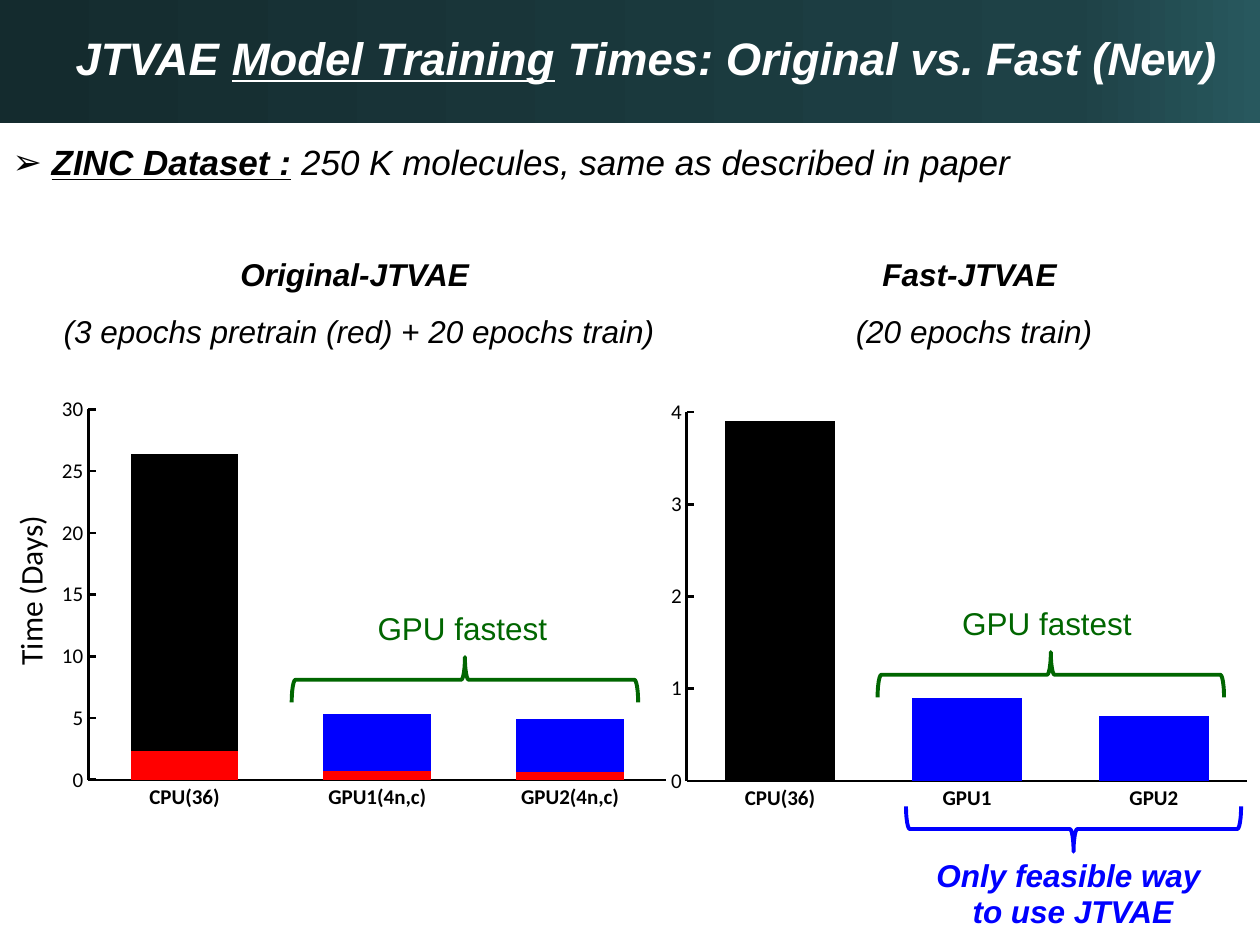
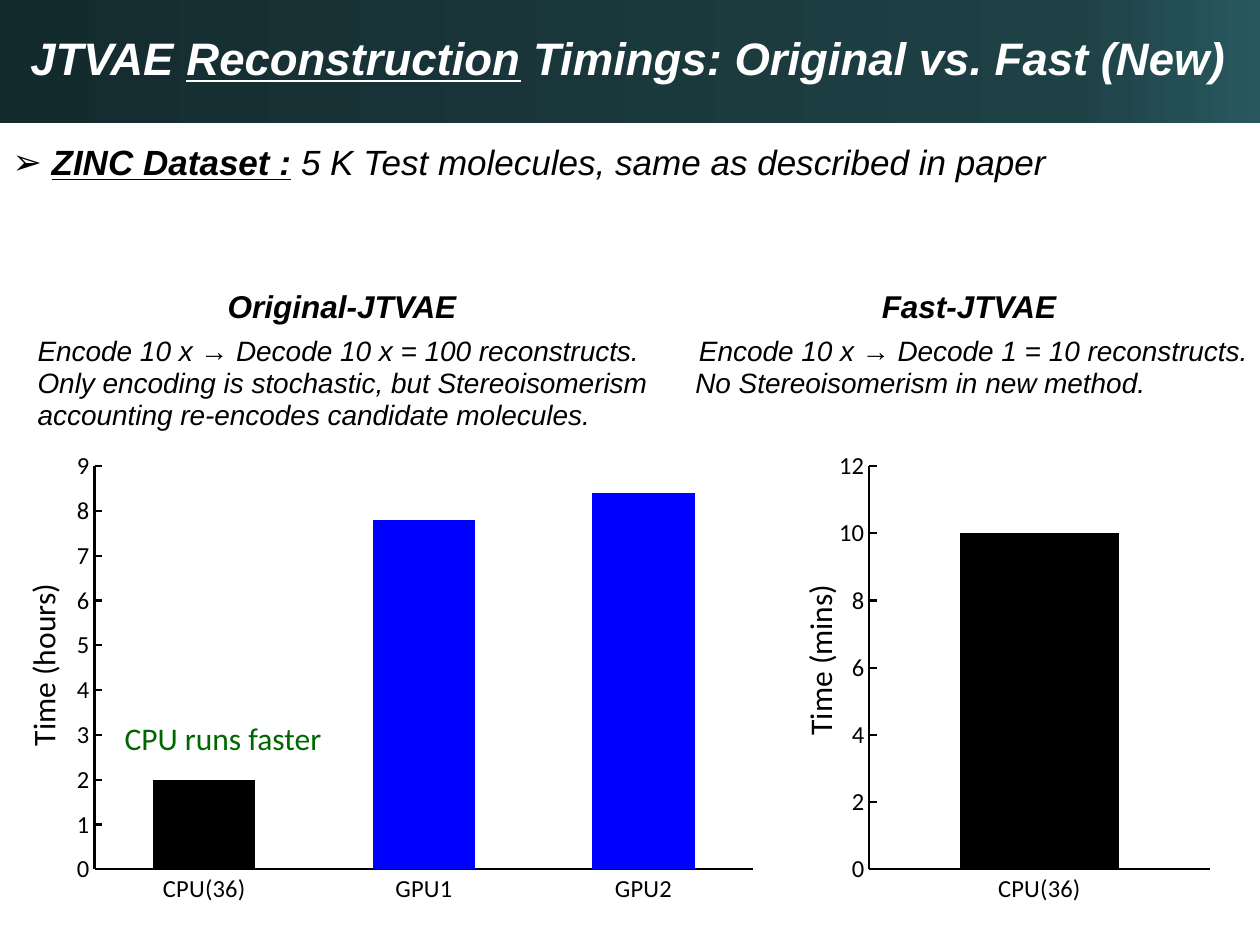
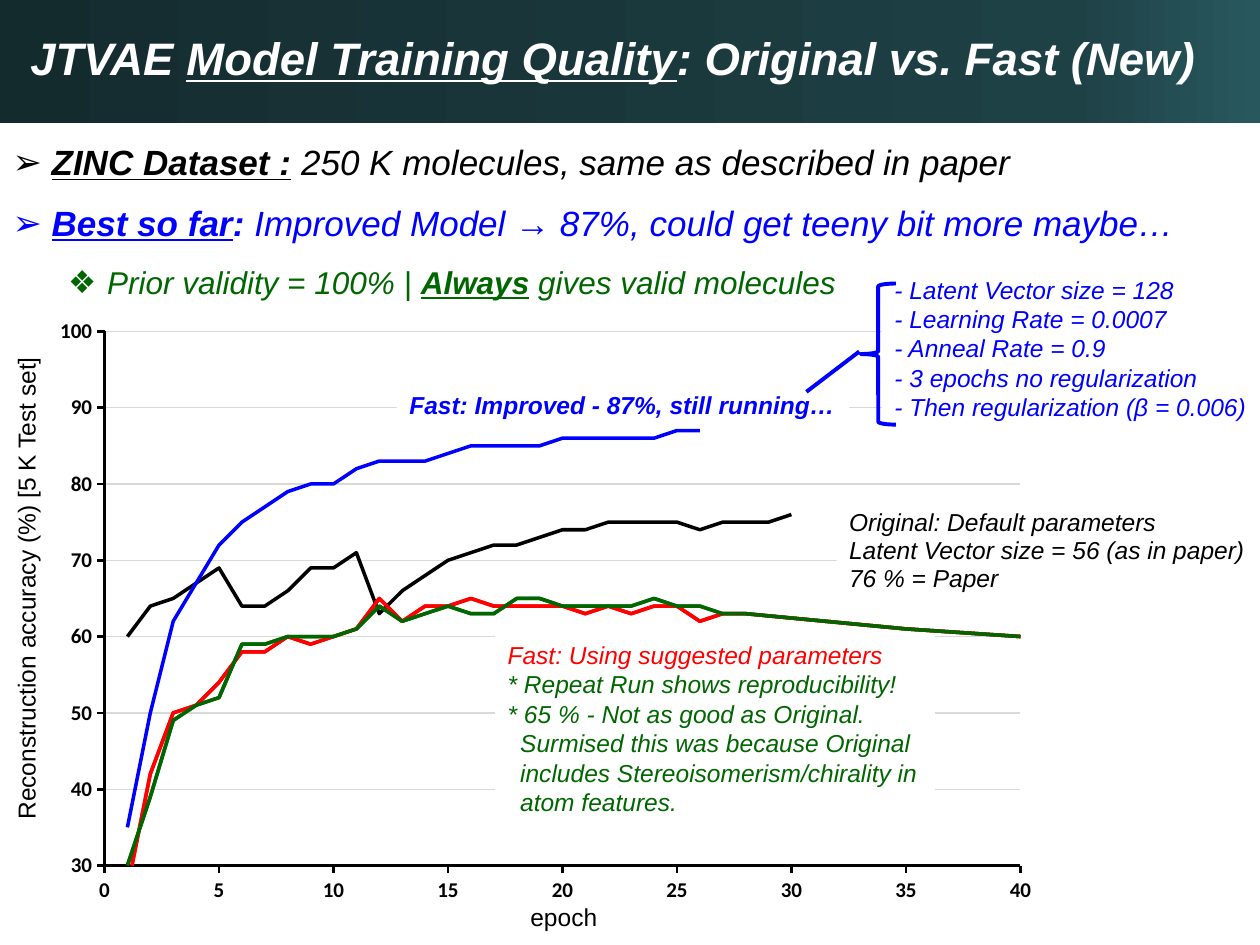
from copy import deepcopy
from dataclasses import dataclass
from lxml import etree
from pptx import Presentation
from pptx import util as u
from pptx.chart import data as cd
from pptx.dml.color import RGBColor
from pptx.enum import chart as ce, shapes, text
from pptx.oxml.ns import qn


@dataclass(frozen=True)
class Theme:
    black: str = "000000"
    white: str = "FFFFFF"
    blue: str = "0000FF"
    red: str = "FF0000"
    green: str = "006600"
    grid: str = "D9D9D9"
    band: tuple = ((0, "142B2E"), (0.85, "1E4146"), (1, "28585E"))
    font: str = "Arial"
    chart_font: str = "Calibri"
    title: int = 26
    body: int = 20
    label: int = 18
    detail: int = 16
    note: int = 14
    tick: int = 12
    mark: float = 2.25


T = Theme()
LEFT, CENTER = text.PP_ALIGN.LEFT, text.PP_ALIGN.CENTER
BODY = (0, 1.09, 10, 0.7)


def para(*runs, **fmt):
    base = dict(size=T.label, color=T.black, font=T.font, align=LEFT,
                spacing=0.95, before=0, indent=None, bullet=None, level=0)
    return {**base, **fmt, "runs": runs}


def lines(rows, **fmt):
    return [para((row, "i"), **fmt) for row in rows]


def dataset(detail):
    return para(("ZINC Dataset :", "biu"), (" ", "bi"), (detail, "i"),
                size=T.body, before=24, indent=(0.31, -0.31), bullet="➢")


def heading(name):
    return para((name + " ", "bi"), align=CENTER, before=24)


def caption(label, color=T.black, **fmt):
    return para((label, ""), **{**dict(color=color, align=CENTER, before=24), **fmt})


def axis_label(label):
    return [para((label, ""), font=T.chart_font, spacing=1)]


def title(start, underlined, end):
    return para((start, "bi"), (underlined, "biu"), (end, "bi"),
                size=T.title, color=T.white, spacing=0.9)


ZINC_TRAIN = "250 K molecules, same as described in paper"
CPU, GPU_A, GPU_B = "CPU(36)", "GPU1", "GPU2"
EPOCHS = [*range(1, 29), 35, 40]
RUN_A = (T.green, [30, 39, 49, 51, 52, 59, 59, 60, 60, 60, 61, 64, 62, 63, 64, 63, 63, 65,
                   65, 64, 64, 64, 64, 65, 64, 64, 63, 63, 61, 60], EPOCHS)
RUN_B = (T.red, [27, 42, 50, 51, 54, 58, 58, 60, 59, 60, 61, 65, 62, 64, 64, 65, 64, 64,
                 64, 64, 63, 64, 63, 64, 64, 62, 63, 63, 61, 60], EPOCHS)
IMPROVED = (T.blue, [35, 50, 62, 67, 72, 75, 77, 79, 80, 80, 82, 83, 83, 83, 84, 85, 85, 85,
                     85, 86, 86, 86, 86, 86, 87, 87], range(1, 27))
ORIGINAL = (T.black, [60, 64, 65, 67, 69, 64, 64, 66, 69, 69, 71, 63, 66, 68, 70, 71, 72, 72,
                      73, 74, 74, 75, 75, 75, 75, 74, 75, 75, 75, 76], range(1, 31))

SLIDES = [
    dict(
        title=((0.5, 0.14, 9.42, 0.59),
               title("JTVAE ", "Model Training", " Times: Original vs. Fast (New)")),
        body=[dataset(ZINC_TRAIN)],
        charts=[
            dict(at=(0.39, 3.09, 5, 3.41), plot=(0.7, 3.25, 5.29, 6.19), stacked=True,
                 cats=[CPU, GPU_A + "(4n,c)", GPU_B + "(4n,c)"], gap=79, overlap=100,
                 bold_cats=True, lines=(1.25, 1.5),
                 series=[([2.3, 0.7, 0.6], [T.red] * 3),
                         ([24.1, 4.6, 4.3], [T.black, T.blue, T.blue])]),
            dict(at=(5.24, 3.11, 4.76, 3.41), plot=(5.45, 3.27, 9.9, 6.2),
                 cats=[CPU, GPU_A, GPU_B], gap=70, overlap=-6,
                 bold_cats=True, lines=(1.5, 1.5),
                 scale=dict(maximum_scale=4, major_unit=1),
                 series=[([3.9, 0.9, 0.7], [T.black, T.blue, T.blue])]),
        ],
        texts=[
            dict(at=(-0.46, 4.48, 1.4, 0.4), turn=270, paras=axis_label("Time (Days)")),
            dict(at=(0.38, 2, 4.94, 0.84), paras=[heading("Original-JTVAE"), para(
                ("(3 epochs pretrain (red) + 20 epochs train)", "i"), align=CENTER, before=12)]),
            dict(at=(6.68, 2, 2.1, 0.84), paras=[heading("Fast-JTVAE"), para(
                ("(20 epochs train)", "i"), align=CENTER, before=12)]),
            dict(at=(2.89, 4.81, 1.56, 0.39), paras=[caption("GPU fastest", T.green)]),
            dict(at=(7.53, 4.77, 1.56, 0.39), paras=[caption("GPU fastest", T.green)]),
            dict(at=(7.32, 6.77, 2.39, 0.68), paras=[
                para(("Only feasible way ", "bi"), color=T.blue, align=CENTER, before=24),
                para(("to use JTVAE", "bi"), color=T.blue, align=CENTER)]),
        ],
        braces=[("RIGHT_BRACE", (3.51, 4.02, 0.36, 2.75), 270, T.green),
                ("RIGHT_BRACE", (8.16, 3.98, 0.36, 2.75), 270, T.green),
                ("RIGHT_BRACE", (8.34, 5.25, 0.36, 2.66), 90, T.blue)],
    ),
    dict(
        title=((0.14, 0.14, 9.78, 0.59),
               title("JTVAE ", "Reconstruction", " Timings: Original vs. Fast (New)")),
        body=[dataset("5 K Test molecules, same as described in paper")],
        charts=[
            dict(at=(0.5, 3.5, 5.6, 3.75), plot=(0.75, 3.7, 5.98, 6.9),
                 cats=[CPU, GPU_A, GPU_B], gap=115, overlap=-27, tick=T.note,
                 lines=(1.25, 1.25), series=[([2, 7.8, 8.4], [T.black, T.blue, T.blue])]),
            dict(at=(6.6, 3.5, 3.06, 3.75), plot=(6.9, 3.7, 9.6, 6.9),
                 cats=[CPU], gap=115, overlap=-27, tick=T.note,
                 lines=(1.25, 1.25), series=[([10], [T.black])]),
        ],
        texts=[
            dict(at=(-0.41, 5.07, 1.5, 0.4), turn=270, paras=axis_label("Time (hours)")),
            dict(at=(5.8, 5.03, 1.41, 0.4), turn=270, paras=axis_label("Time (mins)")),
            dict(at=(0.89, 5.66, 1.82, 0.4), paras=[caption(
                "CPU runs faster", T.green, font=T.chart_font, align=LEFT, before=0, spacing=1)]),
            dict(at=(0.2, 2.25, 5.1, 1.24), paras=[
                heading("Original-JTVAE"),
                para(("Encode 10 x → Decode 10 x = 100 reconstructs.", "i"),
                     size=T.detail, before=6),
                *lines(["Only encoding is stochastic, but Stereoisomerism",
                        "accounting re-encodes candidate molecules."], size=T.detail)]),
            dict(at=(5.42, 2.25, 4.61, 0.98), paras=[
                heading("Fast-JTVAE"),
                para(("Encode 10 x → Decode 1 = 10 reconstructs.", "i"),
                     size=T.detail, before=6, align=CENTER),
                *lines(["No Stereoisomerism in new method."], size=T.detail)]),
        ],
    ),
    dict(
        title=((0.14, 0.14, 9.78, 0.59),
               title("JTVAE ", "Model Training Quality", ": Original vs. Fast (New)")),
        body=[
            dataset(ZINC_TRAIN),
            para(("Best so far", "biu"), (": ", "bi"),
                 ("Improved Model → 87%, could get teeny bit more maybe…", "i"),
                 size=T.body, color=T.blue, before=12, indent=(0.31, -0.31), bullet="➢"),
            para(("Prior validity = 100% | ", "i"), ("Always", "biu"),
                 (" gives valid molecules", "i"), color=T.green, before=12,
                 indent=(0.75, -0.31), bullet="❖", level=1),
        ],
        charts=[
            dict(at=(0.32, 2.44, 8.04, 4.83), plot=(0.83, 2.63, 8.1, 6.87),
                 lines=(1.5, 1.5), bold_cats=True, bold_vals=True,
                 tick_mark=ce.XL_TICK_MARK.OUTSIDE, grid=True,
                 x_scale=dict(minimum_scale=0, maximum_scale=40, major_unit=5),
                 scale=dict(minimum_scale=30, maximum_scale=100, major_unit=10),
                 curves=[RUN_A, RUN_B, IMPROVED, RUN_A, RUN_B, ORIGINAL]),
        ],
        texts=[
            dict(at=(4.11, 7.13, 0.73, 0.32), paras=[caption("epoch", size=T.note)]),
            dict(at=(-2.02, 4.51, 4.47, 0.32), turn=270, wrap=True, paras=[
                caption("Reconstruction accuracy (%) [5 K Test set]", size=T.note)]),
            dict(at=(6.64, 3.99, 3.36, 0.77), fill=T.white, paras=lines(
                ["Original: Default parameters", "Latent Vector size = 56 (as in paper)",
                 "76 % = Paper"], size=T.note)),
            dict(at=(3.93, 5.03, 3.49, 1.51), fill=T.white, paras=[
                *lines(["Fast: Using suggested parameters"],
                       size=T.note, color=T.red, spacing=1),
                *lines(["* Repeat Run shows reproducibility!",
                        "* 65 % - Not as good as Original."],
                       size=T.note, color=T.green, spacing=1),
                *lines(["Surmised this was because Original",
                        "includes Stereoisomerism/chirality in", "atom features."],
                       size=T.note, color=T.green, spacing=1, indent=(0.1, 0))]),
            dict(at=(3.15, 3.06, 3.59, 0.32), fill=T.white, paras=[
                para(("Fast: Improved - 87%, still running…", "bi"),
                     size=T.note, color=T.blue, before=24)]),
            dict(at=(7, 2.13, 3, 1.28), fill=T.white, paras=lines(
                ["- Latent Vector size = 128", "- Learning Rate = 0.0007",
                 "- Anneal Rate = 0.9", "- 3 epochs no regularization",
                 "- Then regularization (β = 0.006)"],
                size=T.note, color=T.blue, spacing=1)),
        ],
        braces=[("LEFT_BRACE", (6.83, 2.25, 0.28, 1.12), 0, T.blue)],
        pointers=[((6.82, 2.79), (6.4, 3.11), T.blue)],
    ),
]


def rgb(value):
    return RGBColor.from_string(value)


def inches(values):
    return [u.Inches(v) for v in values]


def assign(obj, values):
    for name, value in values.items():
        setattr(obj, name, value)


def set_font(font, size, color, name, flags=""):
    assign(font, dict(size=u.Pt(size), name=name, bold="b" in flags,
                      italic="i" in flags, underline="u" in flags))
    font.color.rgb = rgb(color)


def set_line(line, color, width):
    line.color.rgb = rgb(color)
    line.width = u.Pt(width)


def write(tf, paras):
    for i, item in enumerate(paras):
        p = tf.add_paragraph() if i else tf.paragraphs[0]
        assign(p, dict(alignment=item["align"], line_spacing=item["spacing"],
                       space_before=u.Pt(item["before"]), level=item["level"]))
        pPr = p._p.get_or_add_pPr()
        if item["indent"]:
            for name, value in zip(("marL", "indent"), item["indent"]):
                pPr.set(name, str(u.Inches(value)))
        if item["bullet"]:
            etree.SubElement(pPr, qn("a:buFont")).set("typeface", T.font)
            etree.SubElement(pPr, qn("a:buChar")).set("char", item["bullet"])
        for words, flags in item["runs"]:
            r = p.add_run()
            r.text = words
            set_font(r.font, item["size"], item["color"], item["font"], flags)


def add_band(s):
    sp = s.shapes.add_shape(shapes.MSO_SHAPE.RECTANGLE, *inches((0, 0, 10, 0.98)))
    sp.shadow.inherit = False
    sp.line.fill.background()
    sp.fill.gradient()
    sp.fill.gradient_angle = 0
    stops = sp._element.spPr.find(".//" + qn("a:gsLst"))
    stops.append(deepcopy(stops[-1]))
    for stop, (position, color) in zip(sp.fill.gradient_stops, T.band):
        stop.color.rgb = rgb(color)
        stop.position = position
    s.shapes._spTree.insert(2, sp._element)


def fill_placeholder(sp, at, paras, anchor):
    assign(sp, dict(zip(("left", "top", "width", "height"), inches(at))))
    assign(sp.text_frame, dict(auto_size=text.MSO_AUTO_SIZE.NONE, word_wrap=True,
                               vertical_anchor=anchor))
    write(sp.text_frame, paras)


def add_text(s, at, paras, turn=0, wrap=False, fill=None):
    sp = s.shapes.add_textbox(*inches(at))
    sp.rotation = turn
    assign(sp.text_frame, dict(word_wrap=wrap, auto_size=text.MSO_AUTO_SIZE.SHAPE_TO_FIT_TEXT))
    if fill:
        sp.fill.solid()
        sp.fill.fore_color.rgb = rgb(fill)
    write(sp.text_frame, paras)


def place_plot(chart, at, plot):
    area = chart._chartSpace.chart.plotArea
    for old in area.findall(qn("c:layout")):
        area.remove(old)
    layout = etree.Element(qn("c:layout"))
    manual = etree.SubElement(layout, qn("c:manualLayout"))
    left, top, width, height = at
    x0, y0, x1, y1 = plot
    values = dict(layoutTarget="inner", xMode="edge", yMode="edge",
                  x=(x0 - left) / width, y=(y0 - top) / height,
                  w=(x1 - x0) / width, h=(y1 - y0) / height)
    for name, value in values.items():
        etree.SubElement(manual, qn("c:" + name)).set("val", str(value))
    area.insert(0, layout)


def add_chart(s, c):
    kinds = ce.XL_CHART_TYPE
    if "curves" in c:
        kind, data = kinds.XY_SCATTER_LINES_NO_MARKERS, cd.XyChartData()
        for n, (_, ys, xs) in enumerate(c["curves"], 1):
            series = data.add_series(f"Series {n}")
            for x, y in zip(xs, ys):
                series.add_data_point(x, y)
    else:
        kind = kinds.COLUMN_STACKED if c.get("stacked") else kinds.COLUMN_CLUSTERED
        data = cd.CategoryChartData()
        data.categories = c["cats"]
        for n, (values, _) in enumerate(c["series"], 1):
            data.add_series(f"Series {n}", values)
    chart = s.shapes.add_chart(kind, *inches(c["at"]), data).chart
    assign(chart, dict(has_legend=False, has_title=False))
    set_font(chart.font, 10, T.black, T.chart_font)
    place_plot(chart, c["at"], c["plot"])

    mark = c.get("tick_mark")
    axes = ((chart.category_axis, mark or ce.XL_TICK_MARK.NONE, "bold_cats", "x_scale", False),
            (chart.value_axis, mark or ce.XL_TICK_MARK.INSIDE, "bold_vals", "scale",
             c.get("grid", False)))
    for (axis, tick, bold, scale, grid), width in zip(axes, c["lines"]):
        assign(axis, dict(major_tick_mark=tick, minor_tick_mark=ce.XL_TICK_MARK.NONE,
                          has_major_gridlines=grid, **c.get(scale, {})))
        set_line(axis.format.line, T.black, width)
        set_font(axis.tick_labels.font, c.get("tick", T.tick), T.black, T.chart_font,
                 "b" if c.get(bold) else "")
        if grid:
            set_line(axis.major_gridlines.format.line, T.grid, 0.75)

    plot = chart.plots[0]
    plot.vary_by_categories = False
    if "curves" in c:
        for series, (color, _, _) in zip(plot.series, c["curves"]):
            series.smooth = False
            set_line(series.format.line, color, 2)
        return
    assign(plot, dict(gap_width=c["gap"], overlap=c["overlap"]))
    for series, (_, colors) in zip(plot.series, c["series"]):
        base = colors[-1]
        fills = [(series, base)] + [(series.points[i], color)
                                    for i, color in enumerate(colors) if color != base]
        for part, color in fills:
            part.format.fill.solid()
            part.format.fill.fore_color.rgb = rgb(color)


def add_brace(s, kind, at, turn, color):
    sp = s.shapes.add_shape(getattr(shapes.MSO_SHAPE, kind), *inches(at))
    sp.rotation = turn
    sp.shadow.inherit = False
    sp.fill.background()
    set_line(sp.line, color, T.mark)


def add_pointer(s, start, end, color):
    cx = s.shapes.add_connector(shapes.MSO_CONNECTOR.STRAIGHT, *inches(start + end))
    set_line(cx.line, color, T.mark)
    etree.SubElement(cx._element.spPr, qn("a:effectLst"))


prs = Presentation()
assign(prs, dict(slide_width=u.Inches(10), slide_height=u.Inches(7.5)))
for page in SLIDES:
    s = prs.slides.add_slide(prs.slide_layouts[1])
    add_band(s)
    at, heading_text = page["title"]
    fill_placeholder(s.shapes.title, at, [heading_text], text.MSO_ANCHOR.BOTTOM)
    fill_placeholder(s.placeholders[1], BODY, page["body"], text.MSO_ANCHOR.TOP)
    for c in page["charts"]:
        add_chart(s, c)
    for box in page["texts"]:
        add_text(s, **box)
    for brace in page.get("braces", []):
        add_brace(s, *brace)
    for pointer in page.get("pointers", []):
        add_pointer(s, *pointer)
prs.save("out.pptx")
